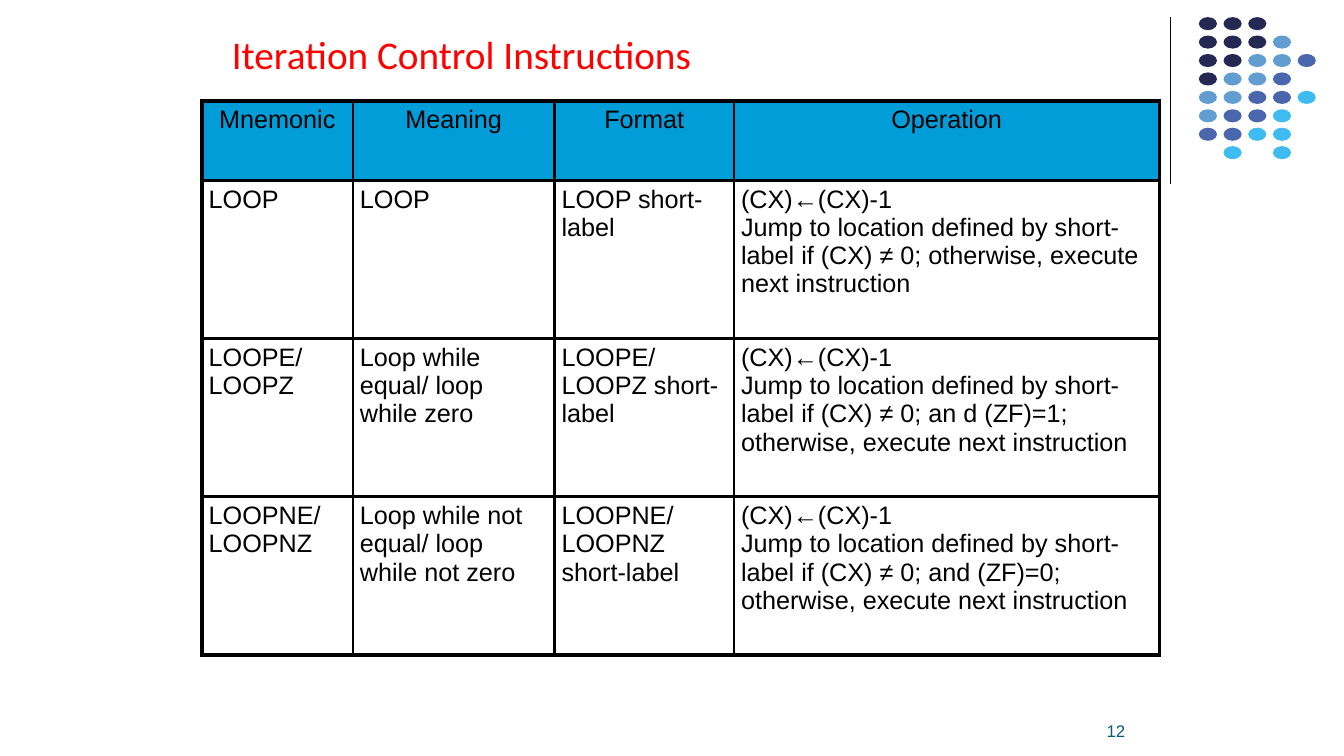
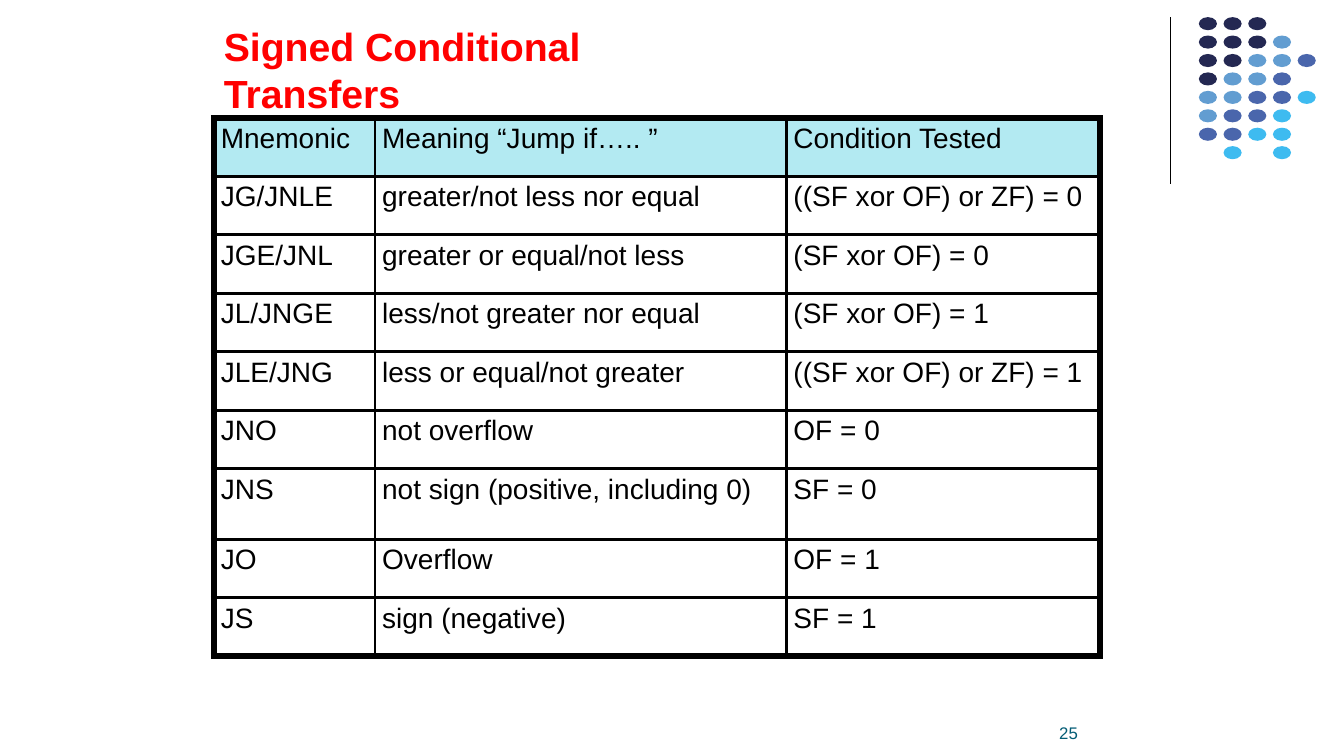
from lxml.etree import SubElement
from pptx import Presentation
from pptx.dml.color import RGBColor as Color
from pptx.enum.shapes import MSO_CONNECTOR as Connector, MSO_SHAPE as Preset
from pptx.enum.text import MSO_ANCHOR as Anchor, MSO_AUTO_SIZE as AutoSize, PP_ALIGN as Align
from pptx.oxml import parse_xml
from pptx.oxml.ns import nsdecls, qn
from pptx.util import Inches, Pt

COLORS = {
    "black": "000000",
    "title": "FF0000",
    "number": "035C75",
    "header_blue": "009DD9",
    "header_aqua": "B3EAF2",
    "D": "242852",
    "L": "629DD1",
    "M": "4A66AC",
    "C": "3EBBF0",
}
DOT_ROWS = ("DDD..", "DDDL.", "DDLLM", "DLLM.", "LLMMC", "LMMC.", "MMCC.", ".C.C.")
ORNAMENT_BOX = (11.61, 0.17, 1.44, 1.66)
DOT_INSET = 0.28
DOT_SIZE = (0.18, 0.13)
DOT_SPAN = (0.98, 1.28)
INNER_BORDER = 2.21

TITLE_FRAME = {"word_wrap": False, "auto_size": AutoSize.NONE, "vertical_anchor": Anchor.TOP}
NUMBER_FRAME = {
    "margin_left": 0, "margin_right": 0, "margin_top": 0, "margin_bottom": 0,
    "word_wrap": True, "vertical_anchor": Anchor.BOTTOM,
}
CELL_MARGINS = {
    "margin_left": Inches(0.07), "margin_right": Inches(0.07),
    "margin_top": Inches(0.05), "margin_bottom": Inches(0.05),
}

LOOP_TABLE = {
    "columns": (1.5, 2, 1.78, 4.22),
    "heights": (0.79, 1.57, 1.57, 1.57),
    "size": 18, "outer": 3, "header": "header_blue", "header_align": Align.CENTER,
    "rows": (
        ("Mnemonic", "Meaning", "Format", "Operation"),
        ("LOOP", "LOOP", "LOOP short-label",
         "(CX)←(CX)-1\nJump to location defined by short-label if (CX) ≠ 0; "
         "otherwise, execute next instruction"),
        ("LOOPE/ LOOPZ", "Loop while equal/ loop while zero", "LOOPE/LOOPZ short-label",
         "(CX)←(CX)-1\nJump to location defined by short-label if (CX) ≠ 0; "
         "an d (ZF)=1; otherwise, execute next instruction"),
        ("LOOPNE/ LOOPNZ", "Loop while not equal/ loop while not zero",
         "LOOPNE/LOOPNZ short-label",
         "(CX)←(CX)-1\nJump to location defined by short-label if (CX) ≠ 0; "
         "and (ZF)=0; otherwise, execute next instruction"),
    ),
}
JUMP_TABLE = {
    "columns": (1.6, 4.08, 3.11),
    "heights": (0.58,) * 6 + (0.7,) + (0.58,) * 2,
    "size": 20, "outer": 4.48, "header": "header_aqua", "header_align": Align.LEFT,
    "rows": (
        ("Mnemonic", "Meaning “Jump if….. ”", "Condition Tested"),
        ("JG/JNLE", "greater/not less nor equal", "((SF xor OF) or ZF) = 0"),
        ("JGE/JNL", "greater or equal/not less", "(SF xor OF) = 0"),
        ("JL/JNGE", "less/not greater nor equal", "(SF xor OF) = 1"),
        ("JLE/JNG", "less or equal/not greater", "((SF xor OF) or ZF) = 1"),
        ("JNO", "not overflow", "OF = 0"),
        ("JNS", "not sign (positive, including 0)", "SF = 0"),
        ("JO", "Overflow", "OF = 1"),
        ("JS", "sign (negative)", "SF = 1"),
    ),
}


def set_values(target, values):
    for name, value in values.items():
        setattr(target, name, value)


def write_text(frame, text, size, color, font="Arial", bold=False, align=Align.LEFT):
    frame.text = text
    for paragraph in frame.paragraphs:
        paragraph.alignment = align
        for run in paragraph.runs:
            set_values(run.font, {"name": font, "size": Pt(size), "bold": bold})
            run.font.color.rgb = Color.from_string(COLORS[color])


def place(shape, box):
    values = map(Inches, box)
    set_values(shape, dict(zip(("left", "top", "width", "height"), values)))


def add_ornament(slide, box):
    left, top, _, height = box
    line = slide.shapes.add_connector(
        Connector.STRAIGHT, Inches(left), Inches(top), Inches(left), Inches(top + height))
    line.line.color.rgb = Color.from_string(COLORS["black"])
    line.line.width = Pt(0.75)
    SubElement(line.element.spPr, qn("a:effectLst"))

    dots = slide.shapes.add_group_shape().shapes
    step_x = DOT_SPAN[0] / (len(DOT_ROWS[0]) - 1)
    step_y = DOT_SPAN[1] / (len(DOT_ROWS) - 1)
    for row, keys in enumerate(DOT_ROWS):
        for column, key in enumerate(keys):
            if key == ".":
                continue
            corner = (left + DOT_INSET + column * step_x, top + row * step_y)
            dot = dots.add_shape(Preset.OVAL, *map(Inches, corner + DOT_SIZE))
            dot.shadow.inherit = False
            dot.fill.solid()
            dot.fill.fore_color.rgb = Color.from_string(COLORS[key])
            dot.line.fill.background()


def add_title(slide, box, text, font, bold):
    title = slide.shapes.title
    place(title, box)
    set_values(title.text_frame, TITLE_FRAME)
    write_text(title.text_frame, text, 28, "title", font, bold)


def add_number(slide, box, text):
    frame = slide.shapes.add_textbox(*map(Inches, box)).text_frame
    set_values(frame, NUMBER_FRAME)
    write_text(frame, text, 12, "number", align=Align.RIGHT)


def set_borders(cell, widths):
    properties = cell._tc.get_or_add_tcPr()
    for side, width in zip("LRTB", widths):
        properties.append(parse_xml(
            f'<a:ln{side} {nsdecls("a")} w="{Pt(width)}"><a:solidFill>'
            f'<a:srgbClr val="{COLORS["black"]}"/></a:solidFill></a:ln{side}>'))


def add_grid(slide, corner, content):
    columns, heights, rows = content["columns"], content["heights"], content["rows"]
    box = corner + (sum(columns), sum(heights))
    table = slide.shapes.add_table(len(rows), len(columns), *map(Inches, box)).table
    set_values(table, {"first_row": False, "horz_banding": False})
    for column, width in zip(table.columns, columns):
        column.width = Inches(width)
    for row, height in zip(table.rows, heights):
        row.height = Inches(height)

    for r, texts in enumerate(rows):
        for c, text in enumerate(texts):
            cell = table.cell(r, c)
            edges = (c == 0, c == len(columns) - 1, r == 0, r == len(rows) - 1)
            set_borders(cell, [content["outer"] if edge else INNER_BORDER for edge in edges])
            set_values(cell, CELL_MARGINS)
            if r == 0:
                cell.fill.solid()
                cell.fill.fore_color.rgb = Color.from_string(COLORS[content["header"]])
            else:
                cell.fill.background()
            align = content["header_align"] if r == 0 else Align.LEFT
            write_text(cell.text_frame, text, content["size"], "black", align=align)


def add_table_slide(presentation, title, number, corner, content):
    slide = presentation.slides.add_slide(presentation.slide_layouts[5])
    add_ornament(slide, ORNAMENT_BOX)
    add_number(slide, *number)
    add_title(slide, *title)
    add_grid(slide, corner, content)


def main():
    presentation = Presentation()
    set_values(presentation, {"slide_width": Inches(13.33), "slide_height": Inches(7.5)})
    add_table_slide(
        presentation,
        ((2.2, 0.25, 4.86, 0.57), "Iteration Control Instructions", "Calibri", False),
        ((10.33, 6.95, 0.83, 0.4), "12"), (2, 1), LOOP_TABLE)
    add_table_slide(
        presentation,
        ((2.12, 0.17, 5.59, 0.57), "Signed Conditional Transfers", "Arial", True),
        ((10, 6.53, 0.69, 0.84), "25"), (2.12, 1.17), JUMP_TABLE)
    presentation.save("out.pptx")


if __name__ == "__main__":
    main()
